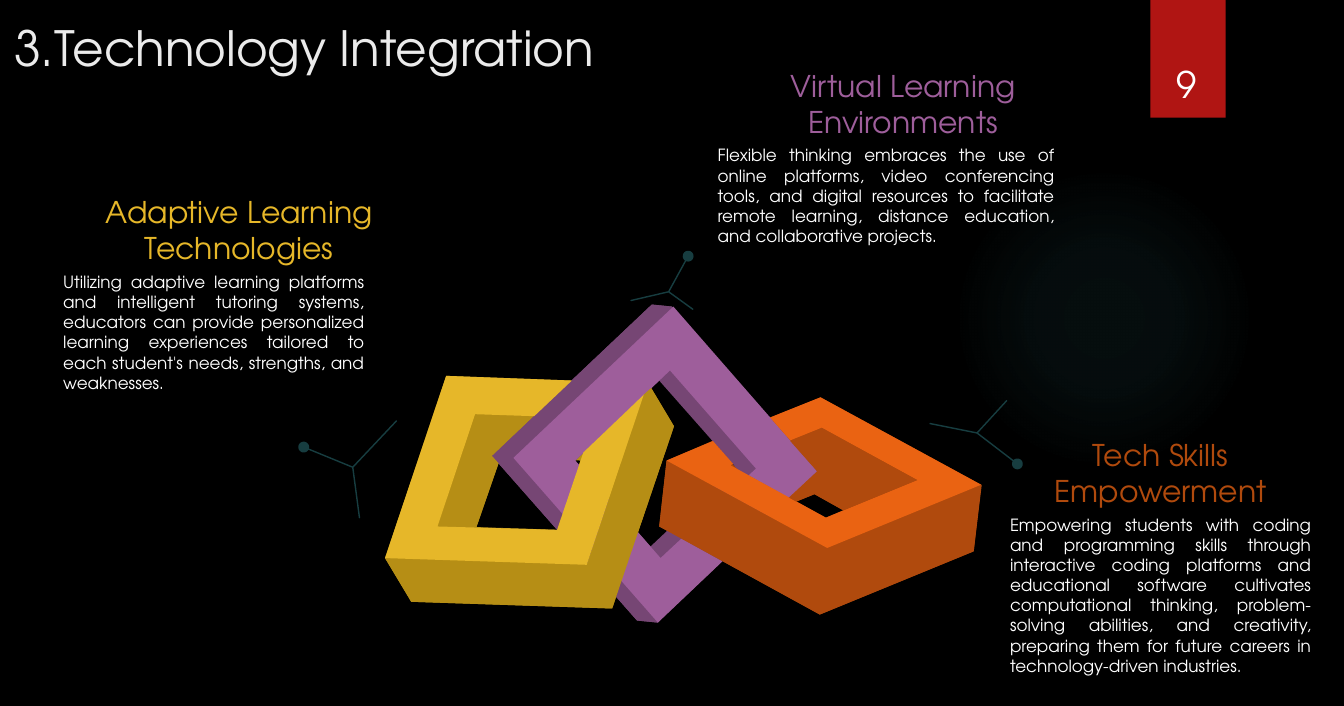
import math

import lxml.etree
import pptx
import pptx.dml.color
import pptx.enum.shapes
import pptx.enum.text
import pptx.oxml
import pptx.oxml.ns
import pptx.util
from pptx.util import Inches

RGBColor = pptx.dml.color.RGBColor
ALIGN = pptx.enum.text.PP_ALIGN
ANCHOR = pptx.enum.text.MSO_ANCHOR
SHAPE = pptx.enum.shapes.MSO_SHAPE

BLACK = RGBColor(0x00, 0x00, 0x00)
WHITE = RGBColor(0xFF, 0xFF, 0xFF)
OFF_WHITE = RGBColor(0xEB, 0xEB, 0xEB)
RED = RGBColor(0xB0, 0x15, 0x13)
GLOW = RGBColor(0x50, 0xB9, 0xC1)
TEAL = RGBColor(0x17, 0x3D, 0x40)
YELLOW = RGBColor(0xE6, 0xB7, 0x29)
DARK_YELLOW = RGBColor(0xB6, 0x8E, 0x15)
ORANGE = RGBColor(0xEA, 0x63, 0x12)
DARK_ORANGE = RGBColor(0xB0, 0x4A, 0x0D)
PURPLE = RGBColor(0x9E, 0x5E, 0x9B)
DARK_PURPLE = RGBColor(0x76, 0x46, 0x74)

YELLOW_HOLE = [(7.45, 6.8), (7.09, 7.84), (8.29, 7.88), (8.64, 6.85)]
ORANGE_HOLE = [(12.12, 7.35), (11.85, 7.46), (12.29, 7.7), (12.55, 7.59)]
PURPLE_HOLE = [(9.81, 5.66), (8.56, 6.85), (9.68, 8.13), (10.94, 6.94)]

LINK_BASES = [
    (DARK_YELLOW, [YELLOW_HOLE,
     [(6.64, 5.59), (8.51, 5.66), (8.28, 5.88), (9.58, 5.88), (9.69, 5.77),
      (10.03, 6.34), (9.11, 9.05), (6.12, 8.95), (5.73, 8.3)]]),
    (DARK_ORANGE, [ORANGE_HOLE,
     [(12.21, 5.91), (14.6, 7.21), (14.49, 8.2), (12.2, 9.14), (9.81, 7.83),
      (9.92, 6.85), (10.6, 6.56), (10.9, 6.9), (10.86, 6.92), (11.74, 7.4),
      (12.16, 7.01), (11.46, 6.21)]]),
    (DARK_PURPLE, [PURPLE_HOLE,
     [(9.7, 4.53), (10, 4.56), (12.16, 7.01), (9.91, 9.14), (9.79, 9.26),
      (9.48, 9.23), (7.32, 6.78)]]),
    (DARK_PURPLE, [
     [(9.7, 4.53), (10, 4.56), (7.62, 6.81), (9.79, 9.26), (9.48, 9.23),
      (7.32, 6.78)]]),
    (PURPLE, [
     [(10.02, 4.56), (12.16, 7.01), (11.75, 7.41), (11.14, 7.07),
      (11.25, 6.97), (9.97, 5.51), (8.56, 6.85), (9.83, 8.3), (10.14, 8.01),
      (10.75, 8.35), (9.79, 9.26), (7.64, 6.81)]]),
]
LINK_FRONTS = [
    (DARK_YELLOW, [
     [(7.42, 6.89), (7.32, 6.78), (7.94, 6.19), (7.07, 6.16), (6.51, 7.82),
      (7.09, 7.84)]]),
    (DARK_YELLOW, [
     [(9.69, 5.77), (9.58, 5.87), (8.73, 8.4), (5.73, 8.3), (6.12, 8.95),
      (9.11, 9.05), (10.03, 6.34)]]),
    (YELLOW, [
     [(9.33, 6.11), (8.68, 6.73), (8.29, 7.88), (6.51, 7.83), (7.07, 6.16),
      (7.95, 6.19), (8.51, 5.66), (6.64, 5.59), (5.73, 8.3), (8.73, 8.4),
      (9.58, 5.87)]]),
    (DARK_ORANGE, [[(10.93, 7.06), (10.99, 7), (10.9, 6.9), (10.76, 6.95)]]),
    (DARK_ORANGE, [
     [(12.32, 8.15), (9.92, 6.85), (9.81, 7.83), (12.2, 9.14), (14.49, 8.2),
      (14.61, 7.21)]]),
    (ORANGE, [
     [(12.21, 5.91), (11.46, 6.21), (11.76, 6.55), (12.23, 6.36),
      (13.65, 7.14), (12.29, 7.7), (10.87, 6.92), (10.91, 6.9),
      (10.61, 6.56), (9.92, 6.85), (12.31, 8.15), (14.6, 7.21)]]),
]
HOLE_WALL = [(12.12, 7.35), (12.55, 7.59), (13.65, 7.14), (12.23, 6.37),
             (11.76, 6.56), (12.16, 7.01), (11.74, 7.4), (11.85, 7.46)]
TRIPODS = [
    ((5.25, 6.95), (4.52, 6.65), (5.9, 6.26), (5.35, 7.7)),
    ((9.95, 4.34), (10.24, 3.81), (9.39, 4.47), (10.31, 4.6)),
    ((14.54, 6.44), (15.14, 6.9), (14.98, 5.96), (13.84, 6.3)),
]
CARDS = [
    ("Tech Skills Empowerment", DARK_ORANGE, (15.03, 6.43, 4.48, 1.18),
     "Empowering students with coding and programming skills through interactive coding platforms and educational software cultivates computational thinking, problem-solving abilities, and creativity, preparing them for future careers in technology-driven industries.",
     (15.03, 7.6, 4.48, 2.52)),
    ("Adaptive Learning Technologies", YELLOW, (0.94, 2.82, 5.24, 1.18),
     "Utilizing adaptive learning platforms and intelligent tutoring systems, educators can provide personalized learning experiences tailored to each student's needs, strengths, and weaknesses.",
     (0.94, 3.99, 4.48, 1.92)),
    ("Virtual Learning Environments", PURPLE, (11.2, 0.94, 4.48, 1.18),
     "Flexible thinking embraces the use of online platforms, video conferencing tools, and digital resources to facilitate remote learning, distance education, and collaborative projects.",
     (10.68, 2.11, 5.01, 1.62)),
]


class SlideBuilder:
    font_name = "TeX Gyre Adventor"
    dot_radius = 0.07

    def __init__(self, slide):
        self.slide = slide

    def apply(self, target, values):
        for name, value in values.items():
            setattr(target, name, value)

    def fill_text(self, shape, text, size, color, align, anchor, side=0.1):
        frame = shape.text_frame
        self.apply(frame, {
            "text": text, "word_wrap": True, "vertical_anchor": anchor,
            "auto_size": pptx.enum.text.MSO_AUTO_SIZE.NONE,
            "margin_left": Inches(side), "margin_right": Inches(side)})
        paragraph = frame.paragraphs[0]
        paragraph.alignment = align
        font = paragraph.runs[0].font
        self.apply(font, {"name": self.font_name, "size": pptx.util.Pt(size)})
        font.color.rgb = color

    def title(self, text, box):
        shape = self.slide.shapes.title
        self.apply(shape, dict(zip(("left", "top", "width", "height"), map(Inches, box))))
        self.fill_text(shape, text, 52, OFF_WHITE, ALIGN.LEFT, ANCHOR.TOP)

    def text(self, shapes, box, *style):
        self.fill_text(shapes.add_textbox(*map(Inches, box)), *style)

    def card(self, heading, color, heading_box, body, body_box):
        shapes = self.slide.shapes.add_group_shape().shapes
        self.text(shapes, heading_box, heading, 32, color, ALIGN.CENTER, ANCHOR.BOTTOM, 0)
        self.text(shapes, body_box, body, 18, WHITE, ALIGN.JUSTIFY, ANCHOR.TOP, 0)

    def paint(self, shape, color):
        shape.shadow.inherit = False
        shape.fill.solid()
        shape.fill.fore_color.rgb = color
        shape.line.fill.background()
        return shape

    def preset(self, kind, box, color):
        return self.paint(self.slide.shapes.add_shape(kind, *map(Inches, box)), color)

    def glow(self, box, color, stops):
        shape = self.preset(SHAPE.OVAL, box, color)
        gradient = pptx.oxml.parse_xml(
            f'<a:gradFill {pptx.oxml.ns.nsdecls("a")}><a:gsLst/><a:path path="circle">'
            '<a:fillToRect l="50000" t="50000" r="50000" b="50000"/></a:path></a:gradFill>')
        qn = pptx.oxml.ns.qn
        for position, alpha in stops:
            stop = lxml.etree.SubElement(gradient[0], qn("a:gs"), pos=str(position * 1000))
            rgb = lxml.etree.SubElement(stop, qn("a:srgbClr"), val=str(color))
            lxml.etree.SubElement(rgb, qn("a:alpha"), val=str(alpha * 1000))
        solid = shape.element.spPr.find(qn("a:solidFill"))
        shape.element.spPr.replace(solid, gradient)

    def outline(self, color, contours):
        contours = [[(Inches(x), Inches(y)) for x, y in points] for points in contours]
        builder = self.slide.shapes.build_freeform(*contours[0][0])
        for index, points in enumerate(contours):
            if index:
                builder.move_to(*points[0])
            builder.add_line_segments(points[1:], close=True)
        return self.paint(builder.convert_to_shape(), color)

    def tripod(self, hub, dot, first_end, second_end):
        start = math.atan2(hub[1] - dot[1], hub[0] - dot[0])
        angles = [start + math.tau * step / 24 for step in range(25)]
        circle = [(dot[0] + self.dot_radius * math.cos(angle),
                   dot[1] + self.dot_radius * math.sin(angle)) for angle in angles]
        shape = self.outline(TEAL, [[hub, first_end, hub, *circle, hub, second_end]])
        shape.line.color.rgb = TEAL
        shape.line.width = pptx.util.Pt(1.5)


def main():
    presentation = pptx.Presentation()
    presentation.slide_width = Inches(20)
    presentation.slide_height = Inches(10.5)
    slide = presentation.slides.add_slide(presentation.slide_layouts[5])
    slide.background.fill.solid()
    slide.background.fill.fore_color.rgb = BLACK
    builder = SlideBuilder(slide)

    builder.glow((14.12, 2.57, 4.62, 4.32), GLOW, [(0, 7), (36, 6), (69, 0), (100, 0)])
    builder.preset(SHAPE.RECTANGLE, (17.12, 0, 1.12, 1.75), RED)
    builder.title("3.Technology Integration", (0.11, 0.21, 10.46, 1.11))
    for color, contours in LINK_BASES + LINK_FRONTS:
        builder.outline(color, contours)
    for tripod in TRIPODS:
        builder.tripod(*tripod)
    builder.outline(DARK_ORANGE, [HOLE_WALL])
    for card in CARDS:
        builder.card(*card)
    builder.text(slide.shapes, (16.98, 0.45, 1.37, 1.18),
                 "9", 39.2, WHITE, ALIGN.CENTER, ANCHOR.BOTTOM)
    presentation.save("out.pptx")


if __name__ == "__main__":
    main()
